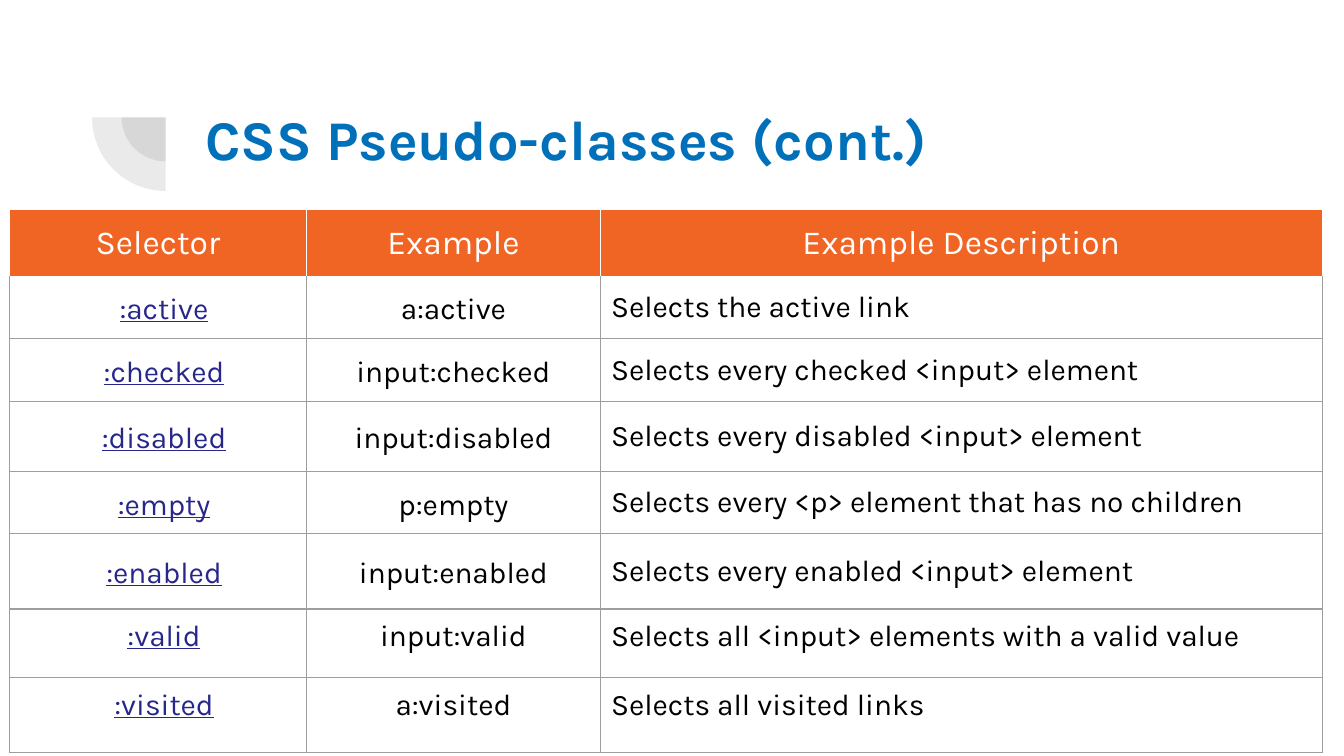
from lxml import etree
from pptx import Presentation
from pptx import util as u
from pptx.dml.color import RGBColor
from pptx.enum import shapes, text
from pptx.oxml import ns

FONT = "Karla"
COLOURS = {
    "title": "0170BA",
    "header": "F16524",
    "white": "FFFFFF",
    "selector": "27278B",
    "body": "000000",
    "grid": "9E9E9E",
    "arc": "424242",
}
COLUMN_WIDTHS = [5.61, 5.56, 13.64]
ROW_HEIGHTS = [1.22, 1.14, 1.19, 1.32, 1.14, 1.42, 1.3, 1.42]
HEADINGS = ["Selector", "Example", "Example Description"]
PSEUDO_CLASSES = [
    ("active", "a", "Selects the active link"),
    ("checked", "input", "Selects every checked <input> element"),
    ("disabled", "input", "Selects every disabled <input> element"),
    ("empty", "p", "Selects every <p> element that has no children"),
    ("enabled", "input", "Selects every enabled <input> element"),
    ("valid", "input", "Selects all <input> elements with a valid value"),
    ("visited", "a", "Selects all visited links"),
]
CENTRED_ROWS = 5


def colour(name):
    return RGBColor.from_string(COLOURS[name])


def add_run(paragraph, words, size, ink, bold=False, underline=False):
    run = paragraph.add_run()
    run.text = words
    font = run.font
    font.name, font.size = FONT, u.Pt(size)
    font.bold, font.underline = bold, underline
    font.color.rgb = colour(ink)


def set_insets(holder, left, others):
    holder.margin_left = u.Cm(left)
    holder.margin_top = holder.margin_right = holder.margin_bottom = u.Cm(others)


def add_arc(slide, radius):
    centre_x, centre_y = 3.13, 2.22
    arc = slide.shapes.add_shape(
        shapes.MSO_SHAPE.PIE, u.Cm(centre_x - radius), u.Cm(centre_y - radius),
        u.Cm(2 * radius), u.Cm(2 * radius))
    arc.adjustments[0], arc.adjustments[1] = 108, 162
    arc.rotation = 270
    arc.shadow.inherit = False
    arc.line.fill.background()
    arc.fill.solid()
    arc.fill.fore_color.rgb = colour("arc")
    tint = arc.fill._xPr.find(".//" + ns.qn("a:srgbClr"))
    etree.SubElement(tint, ns.qn("a:alpha"), val="11000")


def add_title(slide):
    title = slide.shapes.add_textbox(u.Cm(3.63), u.Cm(1.65), u.Cm(21.77), u.Cm(1.85))
    frame = title.text_frame
    frame.word_wrap = True
    frame.vertical_anchor = text.MSO_ANCHOR.BOTTOM
    set_insets(frame, 0.25, 0.25)
    add_run(frame.paragraphs[0], "CSS Pseudo-classes (cont.)", 30, "title", bold=True)


def set_borders(cell, **sides):
    properties = cell._tc.get_or_add_tcPr()
    for position, side in enumerate("LRTB"):
        line = etree.Element(ns.qn("a:ln" + side), w=str(u.Pt(0.75)))
        fill = etree.SubElement(line, ns.qn("a:solidFill"))
        ink = sides.get(side, "grid")
        etree.SubElement(fill, ns.qn("a:srgbClr"), val=COLOURS[ink])
        properties.insert(position, line)


def fill_heading(cell, words):
    cell.fill.solid()
    cell.fill.fore_color.rgb = colour("header")
    cell.vertical_anchor = text.MSO_ANCHOR.MIDDLE
    set_insets(cell, 0.25, 0.25)
    set_borders(cell, **dict.fromkeys("LRTB", "white"))
    paragraph = cell.text_frame.paragraphs[0]
    paragraph.alignment = text.PP_ALIGN.CENTER
    add_run(paragraph, words, 18, "white")


def fill_body(cell, words, row, column):
    centred = row <= CENTRED_ROWS
    cell.fill.background()
    cell.vertical_anchor = text.MSO_ANCHOR.MIDDLE if centred else text.MSO_ANCHOR.TOP
    set_insets(cell, 0.43 if column == 0 else 0.2, 0.2)
    set_borders(cell, T="white" if row == 1 else "grid")
    paragraph = cell.text_frame.paragraphs[0]
    if column < 2:
        paragraph.alignment = text.PP_ALIGN.CENTER
        if centred:
            paragraph.line_spacing = 1.15
    is_selector = column == 0
    add_run(paragraph, words, 16, "selector" if is_selector else "body",
            underline=is_selector)


def add_selector_table(slide):
    table = slide.shapes.add_table(
        len(ROW_HEIGHTS), len(COLUMN_WIDTHS), u.Cm(0.18), u.Cm(3.96),
        u.Cm(sum(COLUMN_WIDTHS)), u.Cm(sum(ROW_HEIGHTS))).table
    table.horz_banding = False
    for column, width in zip(table.columns, COLUMN_WIDTHS):
        column.width = u.Cm(width)
    for row, height in zip(table.rows, ROW_HEIGHTS):
        row.height = u.Cm(height)
    for column, heading in enumerate(HEADINGS):
        fill_heading(table.cell(0, column), heading)
    for row, (name, element, description) in enumerate(PSEUDO_CLASSES, 1):
        entries = [f":{name}", f"{element}:{name}", description]
        for column, entry in enumerate(entries):
            fill_body(table.cell(row, column), entry, row, column)


def main():
    deck = Presentation()
    deck.slide_width, deck.slide_height = u.Cm(25.4), u.Cm(14.29)
    slide = deck.slides.add_slide(deck.slide_layouts[6])
    for radius in (0.83, 1.39):
        add_arc(slide, radius)
    add_title(slide)
    add_selector_table(slide)
    deck.save("out.pptx")


main()
